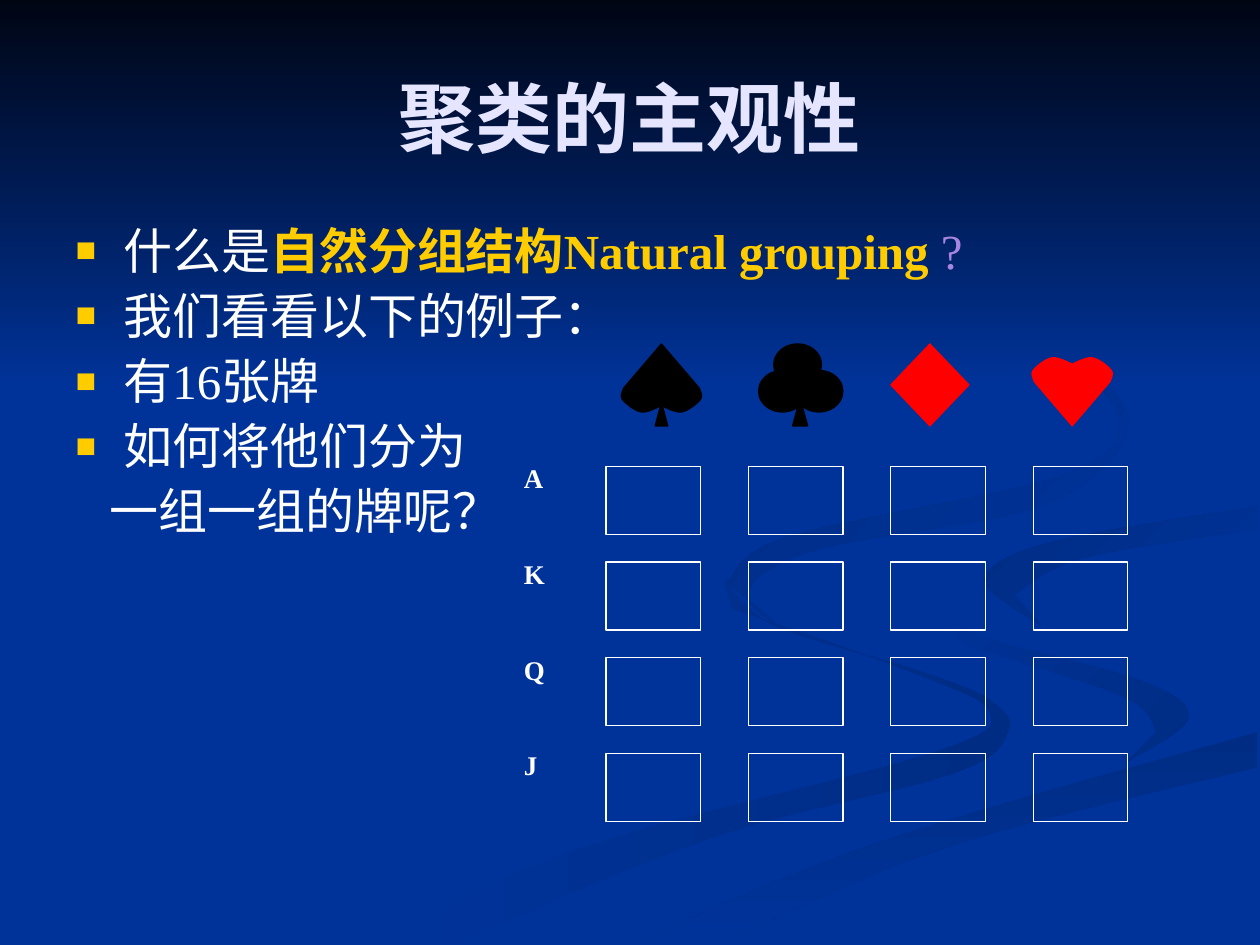
from lxml.etree import SubElement
from pptx import Presentation
from pptx.dml.color import RGBColor
from pptx.enum.shapes import MSO_SHAPE
from pptx.enum.text import MSO_ANCHOR, MSO_AUTO_SIZE, PP_ALIGN
from pptx.oxml.ns import qn
from pptx.util import Inches, Pt

FONT = "Times New Roman"
BLUE = RGBColor(0x00, 0x33, 0x99)
DEEP_BLUE = RGBColor(0x00, 0x2C, 0x84)
NIGHT = RGBColor(0x00, 0x05, 0x14)
LAVENDER = RGBColor(0xE5, 0xE5, 0xFF)
PURPLE = RGBColor(0xA8, 0x86, 0xE0)
GOLD = RGBColor(0xFF, 0xCC, 0x00)
WHITE = RGBColor(0xFF, 0xFF, 0xFF)
BLACK = RGBColor(0x00, 0x00, 0x00)
RED = RGBColor(0xFF, 0x00, 0x00)

# Ribbons of the backdrop: first colour, last colour, angle, smooth edges
RIBBONS = [
    (BLUE, DEEP_BLUE, 0, [
        [(5.75, 4.6), (6.14, 4.96), (7.31, 5.33), (7.86, 5.56), (8, 5.81), (7.56, 6.14),
         (5.64, 6.65), (3.61, 7.49)],
        [(3, 7.49), (4.58, 6.74), (7.39, 5.98), (7.86, 5.66), (7.28, 5.35), (5.81, 4.83)]]),
    (BLUE, DEEP_BLUE, 45, [
        [(7.24, 4.64), (7.58, 4.98), (9.05, 5.4), (9.43, 5.7), (8.94, 6.05)],
        [(9.18, 5.81), (8.92, 5.53), (7.66, 5.12)]]),
    (DEEP_BLUE, BLUE, 90, [
        [(5.03, 7.49), (6.96, 6.69), (9.98, 5.81)],
        [(9.98, 6.09), (7.52, 6.72), (5.71, 7.49)]]),
    (DEEP_BLUE, BLUE, 45, [
        [(9.98, 4.02), (8.35, 4.3), (7.81, 4.6), (8.26, 4.96)],
        [(8.05, 4.72), (8.59, 4.43), (9.98, 4.2)]]),
    (DEEP_BLUE, BLUE, 45, [
        [(7.62, 2.33), (8.64, 2.91), (8.94, 3.44), (8.25, 4.02), (6.49, 4.36), (5.93, 4.7),
         (6.22, 5)],
        [(5.77, 4.62), (6.25, 4.26), (8.42, 3.78), (8.89, 3.35), (8.46, 2.79)]]),
]

# Left lobe of a heart around its axis, and the tip
HEART_LOBE = [(0, 0.05), (-0.16, 0), (-0.31, 0.1), (-0.3, 0.19)]
HEART_HEIGHT = 0.54


def paint(shape, fill=None, line=None):
    shape.shadow.inherit = False
    if fill is None:
        shape.fill.background()
    else:
        shape.fill.solid()
        shape.fill.fore_color.rgb = fill
    if line is None:
        shape.line.fill.background()
    else:
        shape.line.color.rgb = line
        shape.line.width = Pt(0.75)


def paint_gradient(shape, first, last, angle):
    paint(shape)
    shape.fill.gradient()
    shape.fill.gradient_angle = -angle % 360
    for stop, color in zip(shape.fill.gradient_stops, (first, last)):
        stop.color.rgb = color


def smooth(points, steps=6):
    """Return a Catmull-Rom curve through the points."""
    padded = [points[0], *points, points[-1]]
    curve = []
    for a, b, c, d in zip(padded, padded[1:], padded[2:], padded[3:]):
        for step in range(steps):
            t = step / steps
            curve.append(tuple(
                q + t * (r - p + t * (2 * p - 5 * q + 4 * r - s + t * (3 * (q - r) + s - p))) / 2
                for p, q, r, s in zip(a, b, c, d)))
    return curve + [points[-1]]


def add_outline(shapes, points):
    points = [(Inches(x), Inches(y)) for x, y in points]
    builder = shapes.build_freeform(*points[0], scale=1.0)
    builder.add_line_segments(points[1:], close=True)
    return builder.convert_to_shape()


def add_preset(shapes, kind, box, fill, line):
    shape = shapes.add_shape(kind, *map(Inches, box))
    paint(shape, fill, line)


def style_font(font, size, color, bold=False):
    font.name, font.size, font.bold = FONT, Pt(size), bold
    font.color.rgb = color


def place(shape, box):
    shape.left, shape.top, shape.width, shape.height = map(Inches, box)


def add_backdrop(slide, box):
    slide.background.fill.solid()
    slide.background.fill.fore_color.rgb = BLUE
    shapes = slide.shapes.add_group_shape().shapes
    for first, last, angle, edges in RIBBONS:
        points = [point for edge in edges for point in smooth(edge)]
        paint_gradient(add_outline(shapes, points), first, last, angle)
    band = shapes.add_shape(MSO_SHAPE.RECTANGLE, *map(Inches, box))
    paint_gradient(band, NIGHT, BLUE, 90)
    # Keep the placeholders in front of the backdrop
    for placeholder in list(slide.placeholders):
        slide.shapes.element.append(placeholder.element)


def add_title(slide, box):
    title = slide.shapes.title
    place(title, box)
    frame = title.text_frame
    frame.text = "聚类的主观性"
    frame.auto_size = MSO_AUTO_SIZE.NONE
    frame.vertical_anchor = MSO_ANCHOR.MIDDLE
    frame.paragraphs[0].alignment = PP_ALIGN.CENTER
    style_font(frame.paragraphs[0].runs[0].font, 44, LAVENDER, True)


def set_bullet(paragraph, margin, indent, character=None):
    properties = paragraph._p.get_or_add_pPr()
    properties.set("marL", str(Inches(margin)))
    properties.set("indent", str(Inches(indent)))
    if character is None:
        SubElement(properties, qn("a:buNone"))
        return
    color = SubElement(properties, qn("a:buClr"))
    SubElement(color, qn("a:srgbClr"), val=str(GOLD))
    SubElement(properties, qn("a:buSzPct"), val="70000")
    SubElement(properties, qn("a:buFont"), typeface=FONT)
    SubElement(properties, qn("a:buChar"), char=character)


def add_questions(slide, box):
    body = slide.placeholders[1]
    place(body, box)
    frame = body.text_frame
    frame.auto_size = MSO_AUTO_SIZE.NONE
    lines = [
        [("什么是", WHITE), ("自然分组结构Natural grouping", GOLD), (" ?", PURPLE)],
        [("我们看看以下的例子：", WHITE)],
        [("有16张牌", WHITE)],
        [("如何将他们分为", WHITE)],
        [("一组一组的牌呢？", WHITE)],
    ]
    for index, line in enumerate(lines):
        paragraph = frame.add_paragraph() if index else frame.paragraphs[0]
        if line is lines[-1]:
            set_bullet(paragraph, 0.27, 0)
        else:
            set_bullet(paragraph, 0.38, -0.38, "■")
        paragraph.line_spacing = 0.9
        paragraph.space_before = Pt(7 if index else 0)
        for text, color in line:
            run = paragraph.add_run()
            run.text = text
            style_font(run.font, 28, color, color == GOLD)


def heart_points(axis, top, upside_down=False):
    lobe = smooth(HEART_LOBE)
    outline = lobe + [(0, HEART_HEIGHT)] + [(-x, y) for x, y in reversed(lobe[1:])]
    return [(axis + x, top + (HEART_HEIGHT - y if upside_down else y)) for x, y in outline]


def add_suits(shapes, left, top, pitch):
    # Spade
    paint(add_outline(shapes, heart_points(left + 0.44, top, True)), BLACK, BLACK)
    add_preset(shapes, MSO_SHAPE.FLOWCHART_EXTRACT, (left + 0.39, top + 0.46, 0.1, 0.19), BLACK, BLACK)
    # Club
    club = left + pitch
    for x, y in ((0.2, 0), (0.37, 0.21), (0.08, 0.21)):
        add_preset(shapes, MSO_SHAPE.OVAL, (club + x, top + y, 0.38, 0.33), BLACK, BLACK)
    add_preset(shapes, MSO_SHAPE.FLOWCHART_EXTRACT, (club + 0.35, top + 0.43, 0.12, 0.22), BLACK, BLACK)
    # Diamond
    add_preset(shapes, MSO_SHAPE.FLOWCHART_DECISION, (left + 2 * pitch, top, 0.62, 0.65), RED, RED)
    # Heart
    paint(add_outline(shapes, heart_points(left + 3 * pitch + 0.31, top + 0.11)), RED, RED)


def add_rank(shapes, rank, box):
    label = shapes.add_textbox(*map(Inches, box))
    frame = label.text_frame
    frame.word_wrap = True
    frame.text = rank
    paragraph = frame.paragraphs[0]
    paragraph.alignment = PP_ALIGN.JUSTIFY
    paragraph.line_spacing = 1.96
    style_font(paragraph.runs[0].font, 15.4, WHITE, True)


def add_cards(slide, left, top):
    shapes = slide.shapes.add_group_shape().shapes
    column_pitch, row_pitch, width, height = 1.13, 0.76, 0.75, 0.54
    first_column, first_row = left + 0.75, top + 0.97
    add_suits(shapes, first_column, top, column_pitch)
    for row, rank in enumerate("AKQJ"):
        y = first_row + row * row_pitch
        add_rank(shapes, rank, (left, y - 0.33, width, height))
        for column in range(4):
            box = (first_column + column * column_pitch, y, width, height)
            add_preset(shapes, MSO_SHAPE.RECTANGLE, box, None, WHITE)


def main():
    presentation = Presentation()
    presentation.slide_width, presentation.slide_height = Inches(10), Inches(7.5)
    slide = presentation.slides.add_slide(presentation.slide_layouts[1])
    add_backdrop(slide, (0, 0, 10, 3.08))
    add_title(slide, (0.5, 0.3, 9, 1.25))
    add_questions(slide, (0.5, 1.75, 8.83, 2.79))
    add_cards(slide, 4.06, 2.73)
    presentation.save("out.pptx")


if __name__ == "__main__":
    main()
